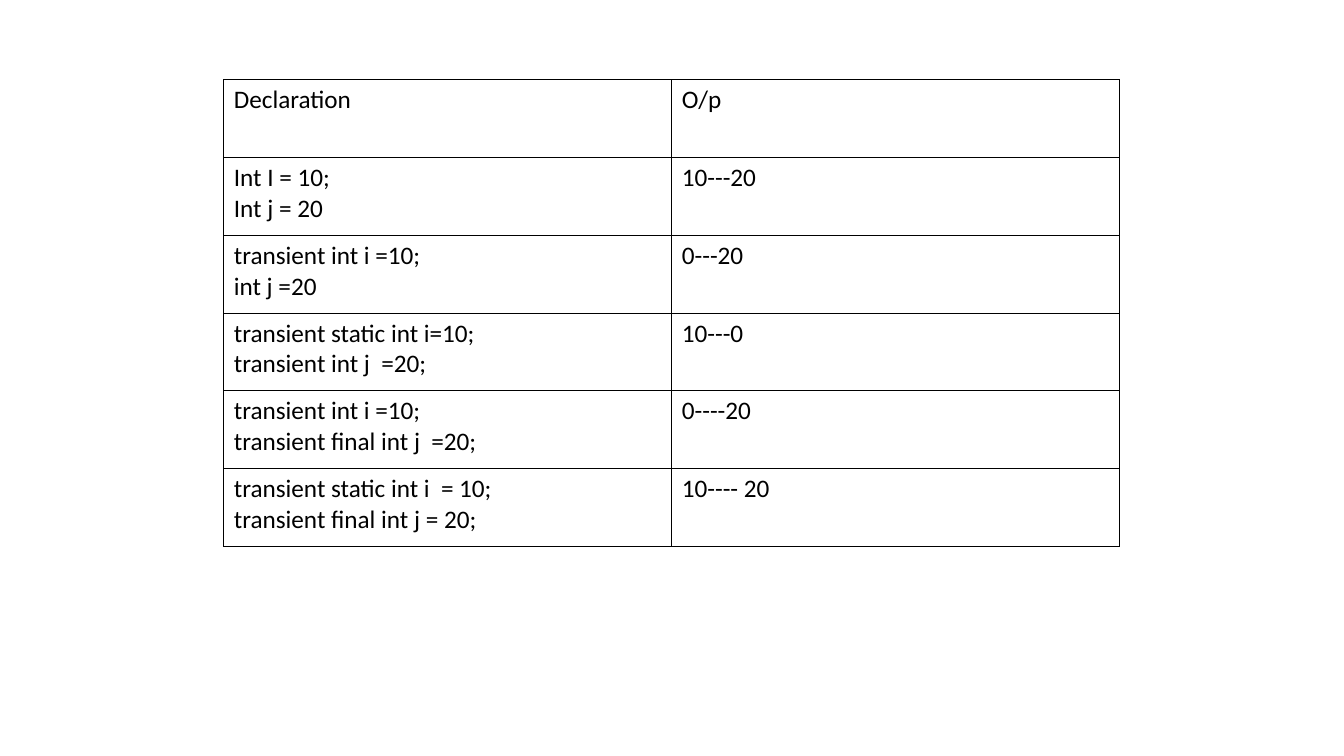
from pptx import Presentation, util as u
from pptx.dml.color import RGBColor
from pptx.oxml import parse_xml
from pptx.oxml.ns import nsdecls

BLACK = RGBColor(0x00, 0x00, 0x00)
COLUMN_WIDTH = u.Cm(11.29)
ROW_HEIGHT = u.Cm(1.96)

ROWS = [
    ("Declaration ", "O/p "),
    ("Int I = 10;\nInt j = 20", "10---20"),
    ("transient int i =10;\nint j =20 ", "0---20"),
    ("transient static int i=10;\ntransient int j  =20;", "10---0"),
    ("transient int i =10;\ntransient final int j  =20;", "0----20"),
    ("transient static int i  = 10;\ntransient final int j = 20;", "10---- 20"),
]


def add_borders(cell):
    """Draw a thin black line on all four sides of a cell."""
    properties = cell._tc.get_or_add_tcPr()
    for position, side in enumerate(("lnL", "lnR", "lnT", "lnB")):
        properties.insert(position, parse_xml(
            f'<a:{side} {nsdecls("a")} w="{u.Pt(1)}"><a:solidFill>'
            f'<a:srgbClr val="{BLACK}"/></a:solidFill></a:{side}>'))


deck = Presentation()
deck.slide_width, deck.slide_height = u.Cm(33.87), u.Cm(19.05)
page = deck.slides.add_slide(deck.slide_layouts[6])

table = page.shapes.add_table(
    len(ROWS), 2, u.Cm(5.64), u.Cm(2.01),
    2 * COLUMN_WIDTH, len(ROWS) * ROW_HEIGHT).table
table.first_row = table.horz_banding = False
for column in table.columns:
    column.width = COLUMN_WIDTH

for row, entries in zip(table.rows, ROWS):
    row.height = ROW_HEIGHT
    for cell, entry in zip(row.cells, entries):
        cell.text = entry
        cell.fill.background()
        add_borders(cell)
        for para in cell.text_frame.paragraphs:
            para.font.name = "Calibri"
            para.font.size = u.Pt(18)
            para.font.color.rgb = BLACK

deck.save("out.pptx")
